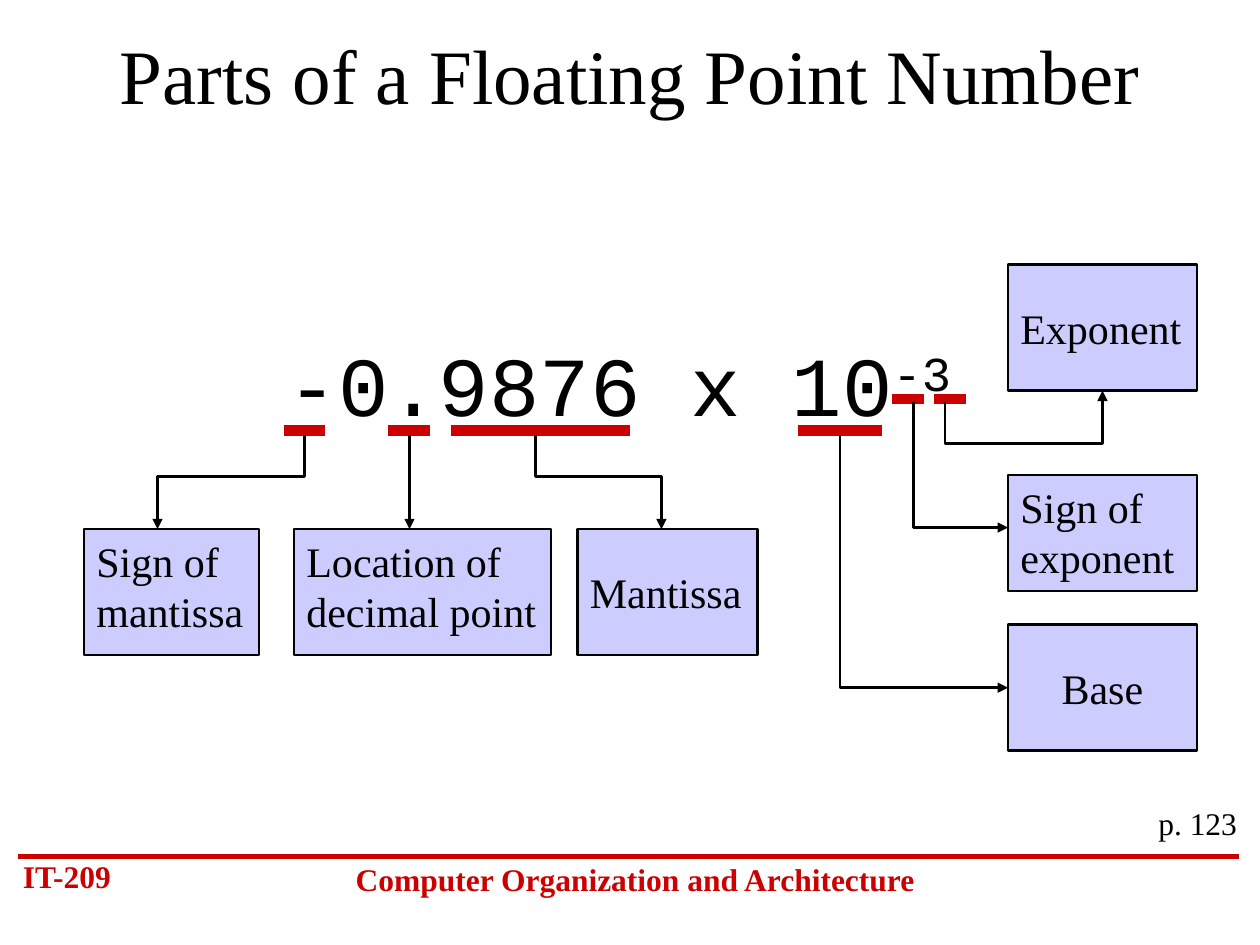
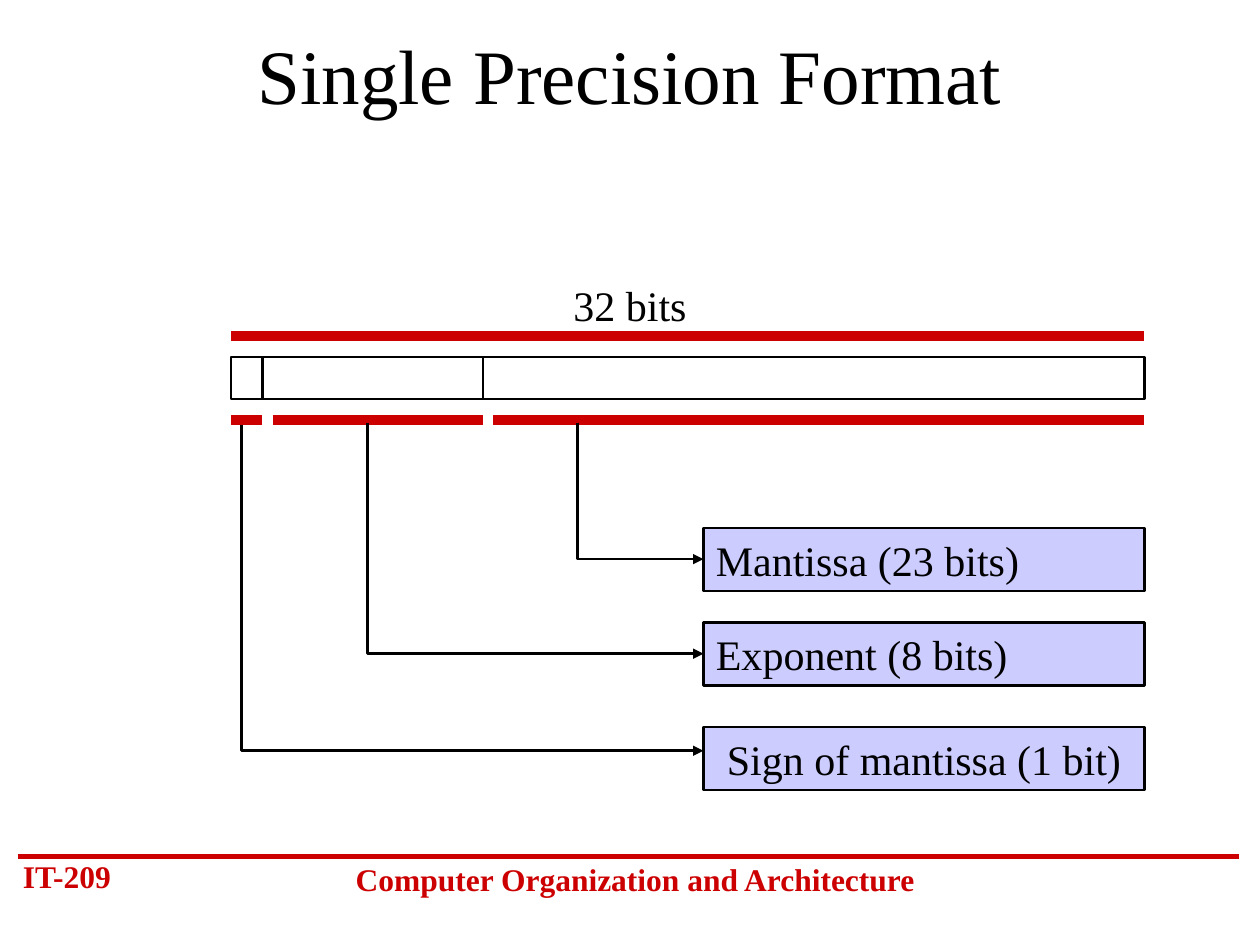
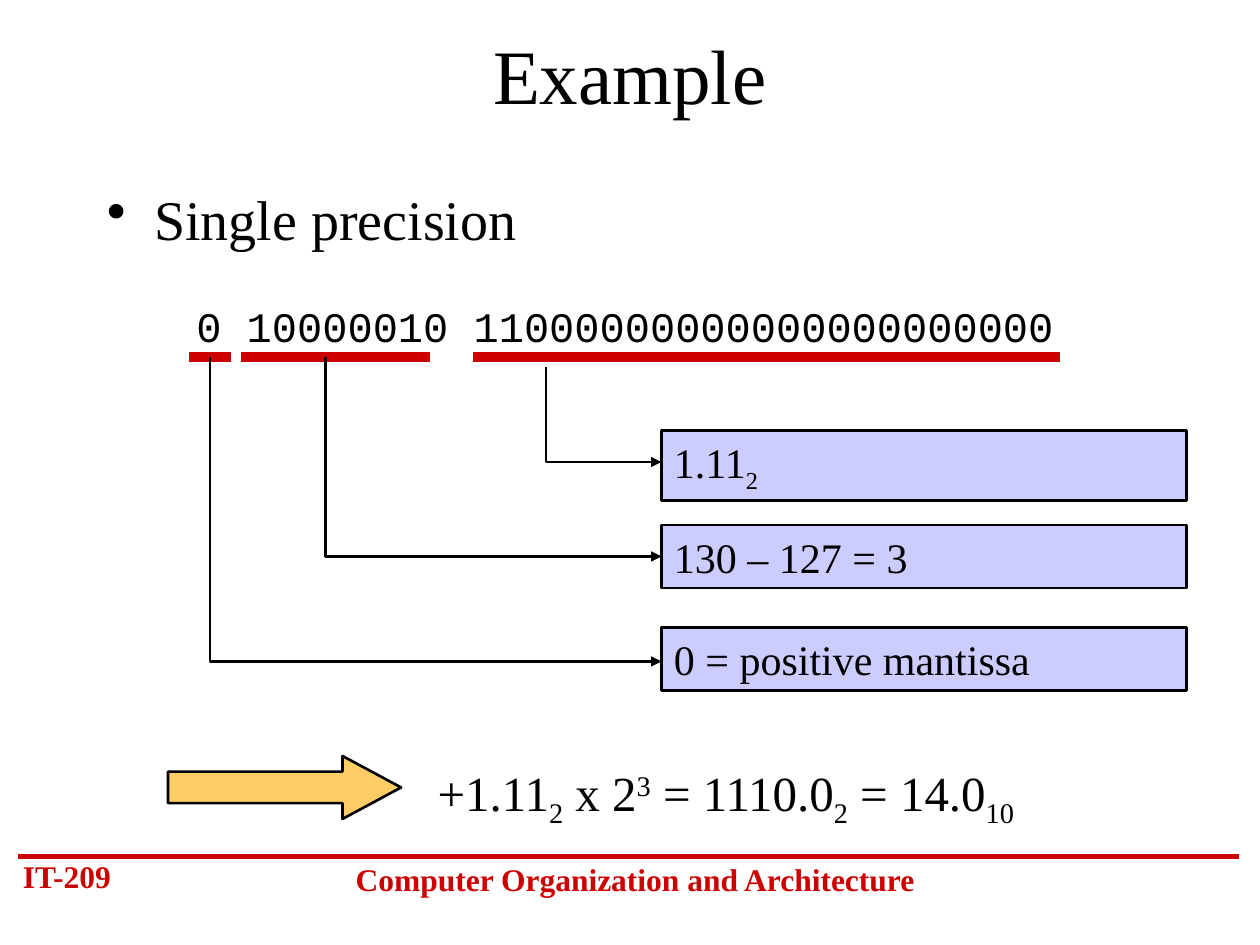
import dataclasses

import lxml.etree
import pptx
import pptx.dml.color
import pptx.enum.shapes
import pptx.enum.text
import pptx.oxml.ns
import pptx.util

INK = {"text": "000000", "red": "CC0000", "note": "CCCCFF", "arrow": "FFCC66"}
CELL = pptx.util.Inches(1) / 12
SERIF, MONO = "Times New Roman", "Courier New"
ALIGN = pptx.enum.text.PP_ALIGN
ANCHOR = pptx.enum.text.MSO_ANCHOR
SHAPE = pptx.enum.shapes.MSO_SHAPE


def cells(*nums):
    """Turn grid cells, twelve to the inch, into lengths."""
    return [pptx.util.Emu(round(num * CELL)) for num in nums]


def color(name):
    """Look up a colour by its role."""
    return pptx.dml.color.RGBColor.from_string(INK[name])


def child(parent, tag, **attrs):
    """Append a drawing element to its parent."""
    return lxml.etree.SubElement(parent, pptx.oxml.ns.qn(tag), **attrs)


def write(frame, runs, size, font=SERIF, ink="text", bold=False,
          align=ALIGN.LEFT, anchor=ANCHOR.TOP, wrap=True):
    """Fill a text frame with (text, baseline) runs."""
    frame.word_wrap = wrap
    frame.auto_size = pptx.enum.text.MSO_AUTO_SIZE.NONE
    frame.vertical_anchor = anchor
    para = frame.paragraphs[0]
    para.alignment = align
    for text, base in runs:
        for num, line in enumerate(text.split("\n")):
            if num:
                para.add_line_break()
            run = para.add_run()
            run.text = line
            run.font.name = font
            run.font.size = pptx.util.Pt(size)
            run.font.bold = bold
            run.font.color.rgb = color(ink)
            if base:
                run.font._element.set("baseline", str(base * 1000))
    return para


def stroke(line, ink="text", width=1.5, tip=False):
    """Style an outline, with an arrowhead at its end if asked."""
    line.color.rgb = color(ink)
    line.width = pptx.util.Pt(width)
    if tip:
        child(line._get_or_add_ln(), "a:tailEnd", type="triangle")


@dataclasses.dataclass
class Area:
    """A region of a slide whose parts sit relative to its corner."""
    slide: object
    left: float = 0
    top: float = 0

    def spot(self, x, y):
        """Place a local point on the slide."""
        return cells(self.left + x, self.top + y)

    def line(self, start, end, **style):
        """Draw a straight line."""
        link = self.slide.shapes.add_connector(
            pptx.enum.shapes.MSO_CONNECTOR.STRAIGHT,
            *self.spot(*start), *self.spot(*end))
        stroke(link.line, **style)
        child(link._element.spPr, "a:effectLst")

    def bars(self, y, spans):
        """Draw thick red bars along one row."""
        for start, end in spans:
            self.line((start, y), (end, y), ink="red", width=6)

    def route(self, *points):
        """Draw a bent arrow through the points."""
        first, *rest = [self.spot(*point) for point in points]
        pen = self.slide.shapes.build_freeform(*first)
        pen.add_line_segments(rest, close=False)
        path = pen.convert_to_shape()
        path.shadow.inherit = False
        path.fill.background()
        stroke(path.line, tip=True)

    def block(self, x, y, wide, high, fill=None, kind=SHAPE.RECTANGLE):
        """Draw an outlined shape."""
        shape = self.slide.shapes.add_shape(
            kind, *self.spot(x, y), *cells(wide, high))
        shape.shadow.inherit = False
        if fill:
            shape.fill.solid()
            shape.fill.fore_color.rgb = color(fill)
        else:
            shape.fill.background()
        stroke(shape.line)
        return shape

    def note(self, x, y, wide, high, runs, **style):
        """Draw a labelled box."""
        write(self.block(x, y, wide, high, "note").text_frame,
              runs, 24, **style)

    def text(self, x, y, wide, high, runs, size, **style):
        """Add a text box."""
        box = self.slide.shapes.add_textbox(
            *self.spot(x, y), *cells(wide, high))
        return write(box.text_frame, runs, size, **style)


def start(deck, title):
    """Add a slide with its title and footer."""
    slide = deck.slides.add_slide(deck.slide_layouts[5])
    head = slide.shapes.title
    head.left, head.top, head.width, head.height = cells(9, 2, 102, 10)
    write(head.text_frame, [(title, 0)], 44,
          align=ALIGN.CENTER, anchor=ANCHOR.MIDDLE)
    foot = Area(slide, 1, 81)
    foot.line((0.68, 0.6), (116.96, 0.6), ink="red", width=3)
    foot.text(0, 0, 18, 4.8, [("IT-209", 0)], 18, ink="red", bold=True)
    foot.text(31, 0.36, 57, 4.8,
              [("Computer Organization and Architecture", 0)], 18,
              ink="red", bold=True, align=ALIGN.CENTER)
    return slide


def legend(area, row, spans, x, wide, notes):
    """Underline bit fields and lead each to its note."""
    area.bars(row, spans)
    for y, high, runs, align, stem, drop, turn in notes:
        area.note(x, y, wide, high, runs, align=align)
        area.route((stem, drop), (stem, turn), (x, turn))


def anatomy(area):
    """Show the parts of a floating point number."""
    area.text(0, 6.08, 102, 11, [("-0.9876 x 10", 0), ("-3", 30)], 48,
              font=MONO, align=ALIGN.CENTER)
    area.bars(16, [(19, 23), (29, 33), (35, 52), (68, 76)])
    area.bars(13, [(77, 80), (81, 84)])
    low, mid = 25.4, 20.4
    left, center = ALIGN.LEFT, ALIGN.CENTER
    for x, y, wide, high, text, align, anchor in [
            (0, low, 16.68, 12, "Sign of\nmantissa", left, ANCHOR.TOP),
            (20, low, 24.5, 12, "Location of\ndecimal point", left,
             ANCHOR.TOP),
            (47, low, 17.16, 12, "Mantissa", left, ANCHOR.MIDDLE),
            (88, 0.2, 18, 12, "Exponent", left, ANCHOR.MIDDLE),
            (88, 20.24, 18, 11.04, "Sign of\nexponent", left, ANCHOR.TOP),
            (88, 34.5, 18, 12, "Base", center, ANCHOR.MIDDLE)]:
        area.note(x, y, wide, high, [(text, 0)], align=align,
                  anchor=anchor, wrap=False)
    for x, end in [(21, 7), (43, 55)]:
        area.route((x, 16.4), (x, mid), (end, mid), (end, low))
    area.line((31, 16.4), (31, low), tip=True)
    for x, y, turn in [(72, 16.5, 40.5), (79, 13.25, 25.25)]:
        area.route((x, y), (x, turn), (88, turn))
    area.route((82, 13.25), (82, 17.25), (97, 17.25), (97, 12.2))


def layout(area):
    """Show the bit fields of the single precision format."""
    area.text(23, -6, 30, 6, [("32 bits", 0)], 24, align=ALIGN.CENTER)
    area.bars(0, [(0, 87)])
    x = 0
    for wide in (3, 21, 63):
        area.block(x, 2, wide, 4)
        x += wide
    left, center = ALIGN.LEFT, ALIGN.CENTER
    legend(area, 8, [(0, 3), (4, 24), (25, 87)], 45, 42, [
        (18.28, 6, [("Mantissa (23 bits)", 0)], left, 33, 8.25, 21.25),
        (27.28, 6, [("Exponent (8 bits)", 0)], left, 13, 8.25, 30.25),
        (37.24, 6, [("Sign of mantissa (1 bit)", 0)], center,
         1, 8.5, 39.5)])


def decode(area):
    """Decode the fields of one single precision number."""
    area.text(-5, -6, 93, 6, [("0 10000010 11000000000000000000000", 0)],
              24, font=MONO, align=ALIGN.CENTER)
    left = ALIGN.LEFT
    legend(area, 0, [(0, 4), (5, 23), (27, 83)], 45, 50, [
        (7, 6.7, [("1.11", 0), ("2", -25)], left, 34, 1, 10),
        (16, 6, [("130 – 127 = 3", 0)], left, 13, 0, 19),
        (25.75, 6, [("0 = positive mantissa", 0)], left, 2, 0, 29)])


def result(area):
    """Point to the value that was decoded."""
    arrow = area.block(0, 0, 22.2, 6, "arrow", SHAPE.RIGHT_ARROW)
    arrow.adjustments[0] = 0.5
    arrow.adjustments[1] = 0.93
    area.text(24.5, 0, 66.5, 7.5, [
        ("+1.11", 0), ("2", -25), (" x 2", 0), ("3", 30),
        (" = 1110.0", 0), ("2", -25), (" = 14.0", 0), ("10", -25)], 28)


def bullet(area, text):
    """Add a bulleted line."""
    para = area.text(0, 0, 102, 54, [(text, 0)], 32)
    props = para._p.get_or_add_pPr()
    hang = cells(4.5)[0]
    props.set("marL", str(hang))
    props.set("indent", str(-hang))
    child(props, "a:buChar", char="•")


def main():
    """Build the deck."""
    deck = pptx.Presentation()
    deck.slide_width, deck.slide_height = cells(120, 90)

    slide = start(deck, "Parts of a Floating Point Number")
    anatomy(Area(slide, 8, 25))
    Area(slide, 105, 76).text(0, 0, 14, 4.8, [("p. 123", 0)], 18,
                              align=ALIGN.RIGHT)

    layout(Area(start(deck, "Single Precision Format"), 22, 32))

    slide = start(deck, "Example")
    bullet(Area(slide, 9, 17), "Single precision")
    decode(Area(slide, 18, 34))
    result(Area(slide, 16, 72))
    deck.save("out.pptx")


if __name__ == "__main__":
    main()
